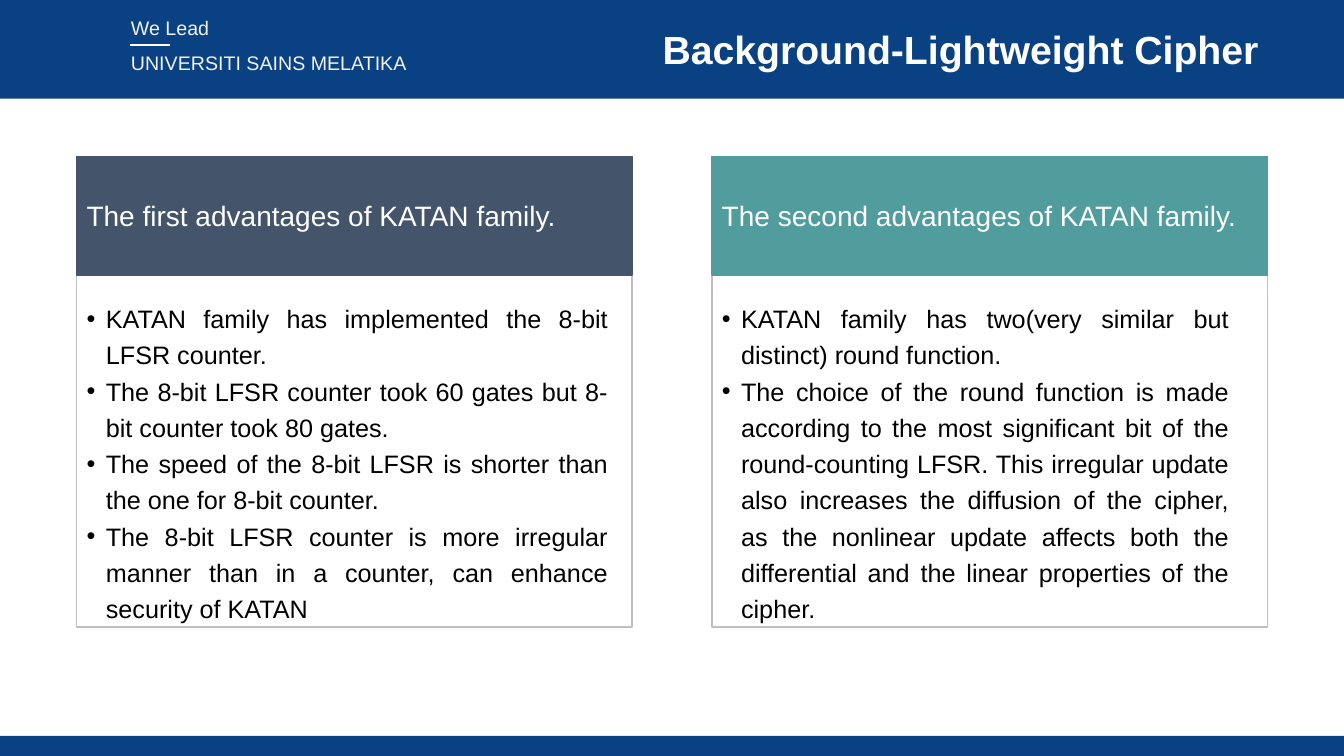
"""Builds the slide comparing two advantages of the KATAN cipher family."""
from lxml.etree import SubElement
from pptx import Presentation
from pptx.dml.color import RGBColor
from pptx.enum.shapes import MSO_CONNECTOR, MSO_SHAPE
from pptx.enum.text import MSO_ANCHOR, MSO_AUTO_SIZE, PP_ALIGN
from pptx.oxml.ns import qn
from pptx.util import Inches, Pt

COLORS = {"navy": "094183", "slate": "44546A", "teal": "519D9E", "border": "BFBFBF",
          "white": "FFFFFF", "pale": "F2F2F2", "black": "000000"}
TITLE = "Background-Lightweight Cipher "
MOTTO = [("We Lead", 0.11), ("UNIVERSITI SAINS MELATIKA", 0.46)]
ADVANTAGES = [
    {"heading": "The first advantages of KATAN family.", "color": "slate", "list_width": 5.37,
     "points": ["KATAN family has implemented the 8-bit LFSR counter.",
                "The 8-bit LFSR counter took 60 gates but 8-bit counter took 80 gates.",
                "The speed of the 8-bit LFSR is shorter than the one for 8-bit counter.",
                "The 8-bit LFSR counter is more irregular manner than in a counter, "
                "can enhance security of KATAN"]},
    {"heading": "The second advantages of KATAN family.", "color": "teal", "list_width": 5.23,
     "points": ["KATAN family has two(very similar but distinct) round function.",
                "The choice of the round function is made according to the most significant bit "
                "of the round-counting LFSR. This irregular update also increases the diffusion "
                "of the cipher, as the nonlinear update affects both the differential and the "
                "linear properties of the cipher. "]},
]
WIDTH, HEIGHT = 13.33, 7.5
BAND_HEIGHT, FOOTER_HEIGHT = 0.98, 0.2
COLUMN_LEFT, COLUMN_STEP, COLUMN_WIDTH = 0.76, 6.3, 5.51
HEADING_TOP, HEADING_HEIGHT = 1.55, 1.18
FRAME_TOP, LIST_TOP, FRAME_BOTTOM = 1.89, 2.9, 6.22
INDENT = 0.19


def rgb(name):
    return RGBColor.from_string(COLORS[name])


def write(holder, *lines, size, color, bold=False, align=PP_ALIGN.LEFT, spacing=1.0,
          anchor=MSO_ANCHOR.TOP, bullet=None):
    frame = holder.text_frame
    frame.word_wrap = True
    frame.auto_size = MSO_AUTO_SIZE.NONE
    frame.vertical_anchor = anchor
    for index, line in enumerate(lines):
        paragraph = frame.add_paragraph() if index else frame.paragraphs[0]
        paragraph.alignment = align
        paragraph.line_spacing = spacing
        paragraph.space_before = paragraph.space_after = Pt(0)
        if bullet:
            properties = paragraph._p.get_or_add_pPr()
            properties.set("marL", str(Inches(INDENT)))
            properties.set("indent", str(-Inches(INDENT)))
            SubElement(properties, qn("a:buFont"), typeface="Arial")
            SubElement(properties, qn("a:buChar"), char=bullet)
        run = paragraph.add_run()
        run.text = line
        run.font.name, run.font.size, run.font.bold = "Arial", Pt(size), bold
        run.font.color.rgb = rgb(color)


def place_in_front(holder, *box):
    holder.left, holder.top, holder.width, holder.height = map(Inches, box)
    holder._element.getparent().append(holder._element)


def add_box(slide, *box, fill=None, line=None):
    rectangle = slide.shapes.add_shape(MSO_SHAPE.RECTANGLE, *map(Inches, box))
    rectangle.shadow.inherit = False
    if fill:
        rectangle.fill.solid()
        rectangle.fill.fore_color.rgb = rgb(fill)
    else:
        rectangle.fill.background()
    if line:
        rectangle.line.color.rgb = rgb(line)
        rectangle.line.width = Pt(1)
    else:
        rectangle.line.fill.background()
    return rectangle


def add_banner(slide):
    add_box(slide, 0, 0, WIDTH, BAND_HEIGHT, fill="navy")
    add_box(slide, 0, HEIGHT - FOOTER_HEIGHT, WIDTH, FOOTER_HEIGHT, fill="navy")
    for words, top in MOTTO:
        label = slide.shapes.add_textbox(*map(Inches, (1.2, top, 3.33, 0.34)))
        write(label, words, size=14, color="pale")
    divider = slide.shapes.add_connector(
        MSO_CONNECTOR.STRAIGHT, *map(Inches, (1.29, 0.45, 1.69, 0.45)))
    divider.line.color.rgb = rgb("white")
    divider.line.width = Pt(1.5)
    SubElement(divider._element.spPr, qn("a:effectLst"))


def add_advantage(slide, column, advantage, points):
    left = COLUMN_LEFT + column * COLUMN_STEP
    add_box(slide, left, FRAME_TOP, COLUMN_WIDTH, FRAME_BOTTOM - FRAME_TOP, line="border")
    heading = add_box(slide, left, HEADING_TOP, COLUMN_WIDTH, HEADING_HEIGHT,
                      fill=advantage["color"], line=advantage["color"])
    write(heading, advantage["heading"], size=20, color="white",
          align=PP_ALIGN.JUSTIFY, anchor=MSO_ANCHOR.MIDDLE)
    place_in_front(points, left, LIST_TOP, advantage["list_width"], FRAME_BOTTOM - LIST_TOP)
    write(points, *advantage["points"], size=18, color="black",
          align=PP_ALIGN.JUSTIFY, spacing=1.2, bullet="•")


def main():
    deck = Presentation()
    deck.slide_width, deck.slide_height = Inches(WIDTH), Inches(HEIGHT)
    slide = deck.slides.add_slide(deck.slide_layouts[3])
    title, *lists = slide.placeholders
    add_banner(slide)
    place_in_front(title, 3.95, 0.25, 8.74, 0.53)
    write(title, TITLE, size=28, color="white", bold=True, align=PP_ALIGN.RIGHT,
          spacing=0.9, anchor=MSO_ANCHOR.MIDDLE)
    for column, (advantage, points) in enumerate(zip(ADVANTAGES, lists)):
        add_advantage(slide, column, advantage, points)
    deck.save("out.pptx")


if __name__ == "__main__":
    main()
